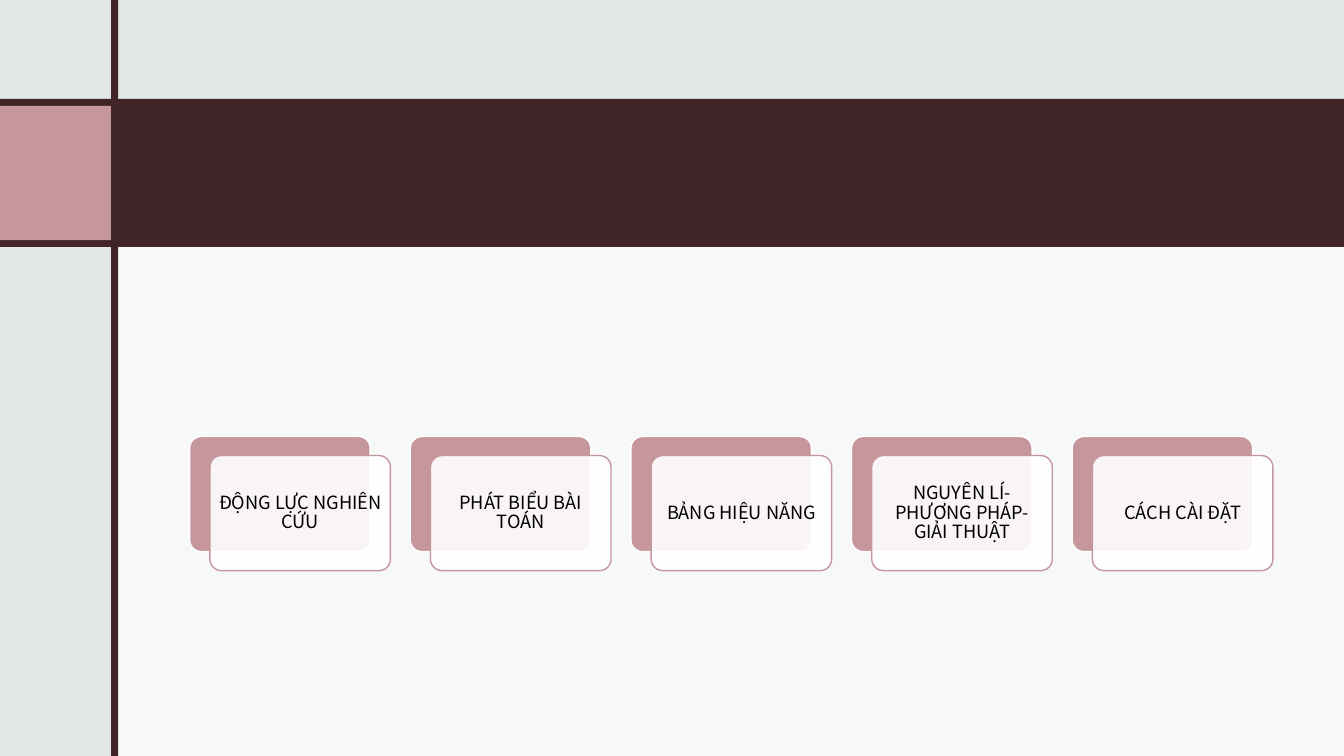
from dataclasses import dataclass
from typing import Optional

from lxml import etree
from pptx import Presentation
from pptx import util as u
from pptx.dml.color import RGBColor
from pptx.enum import shapes, text
from pptx.oxml.ns import qn
from pptx.shapes.autoshape import Shape
from pptx.slide import Slide

MIST = RGBColor(0xE2, 0xE8, 0xE7)
WINE = RGBColor(0x41, 0x24, 0x28)
ROSE = RGBColor(0xC6, 0x96, 0x9D)
WHITE = RGBColor(0xFF, 0xFF, 0xFF)
BLACK = RGBColor(0, 0, 0)
FONT = "Noto Sans CJK JP"

WIDE, HIGH = 33.87, 19.05
LEFT, TOP, STEP = 4.78, 11.0, 5.56
CARD_W, CARD_H = 4.55, 2.9
SHIFT_X, SHIFT_Y = 0.51, 0.48

TOPICS = [
    "ĐỘNG LỰC NGHIÊN CỨU",
    "PHÁT BIỂU BÀI TOÁN",
    "BẢNG HIỆU NĂNG",
    "NGUYÊN LÍ- PHƯƠNG PHÁP- GIẢI THUẬT",
    "CÁCH CÀI ĐẶT",
]


@dataclass
class Box:
    """A filled box, with lengths in centimetres and alpha in percent."""
    x: float
    y: float
    w: float
    h: float
    fill: RGBColor
    alpha: int = 100
    line: Optional[RGBColor] = None
    round: bool = False


FRAME = [
    Box(2.9, 5.92, WIDE - 2.9, HIGH - 5.92, WHITE, alpha=75),
    Box(0, 2.49, WIDE, 3.73, WINE),
    Box(0, 2.67, 2.8, 3.38, ROSE),
    Box(2.8, 0, 0.18, HIGH, WINE),
]


def draw(slide: Slide, box: Box) -> Shape:
    kind = shapes.MSO_SHAPE.ROUNDED_RECTANGLE if box.round else shapes.MSO_SHAPE.RECTANGLE
    shape = slide.shapes.add_shape(kind, u.Cm(box.x), u.Cm(box.y), u.Cm(box.w), u.Cm(box.h))
    shape.shadow.inherit = False
    if box.round:
        shape.adjustments[0] = 0.1
    shape.fill.solid()
    shape.fill.fore_color.rgb = box.fill
    if box.alpha < 100:
        tint = shape.fill._xPr.find(qn("a:solidFill"))[0]
        etree.SubElement(tint, qn("a:alpha"), val=str(box.alpha * 1000))
    if box.line is None:
        shape.line.fill.background()
    else:
        shape.line.color.rgb = box.line
        shape.line.width = u.Pt(1)
    return shape


def write(shape: Shape, words: str, *, size: float = 13, color: RGBColor = BLACK,
          font: str = FONT, inset: float = 0.13, gap: float = 0.9) -> None:
    frame = shape.text_frame
    frame.word_wrap = True
    frame.vertical_anchor = text.MSO_ANCHOR.MIDDLE
    frame.margin_left = frame.margin_right = u.Cm(inset)
    frame.margin_top = frame.margin_bottom = u.Cm(inset)
    para = frame.paragraphs[0]
    para.alignment = text.PP_ALIGN.CENTER
    para.line_spacing = gap
    run = para.add_run()
    run.text = words
    run.font.size = u.Pt(size)
    run.font.name = font
    run.font.color.rgb = color


def main() -> None:
    deck = Presentation()
    deck.slide_width, deck.slide_height = u.Cm(WIDE), u.Cm(HIGH)
    slide = deck.slides.add_slide(deck.slide_layouts[6])
    back = slide.background.fill
    back.solid()
    back.fore_color.rgb = MIST

    for box in FRAME:
        draw(slide, box)
    for i, topic in enumerate(TOPICS):
        x = LEFT + i * STEP
        draw(slide, Box(x, TOP, CARD_W, CARD_H, ROSE, line=WHITE, round=True))
        card = draw(slide, Box(x + SHIFT_X, TOP + SHIFT_Y, CARD_W, CARD_H, WHITE,
                               alpha=90, line=ROSE, round=True))
        write(card, topic)
    deck.save("out.pptx")


if __name__ == "__main__":
    main()
